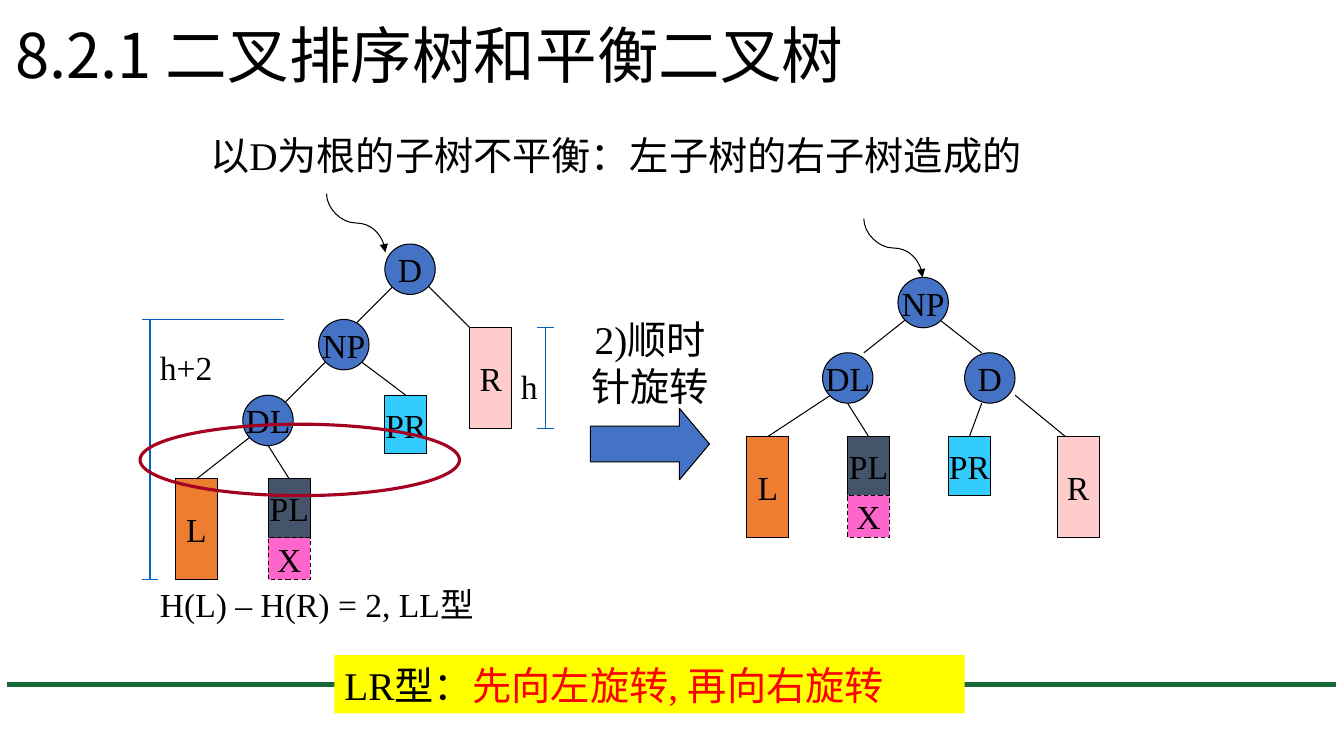
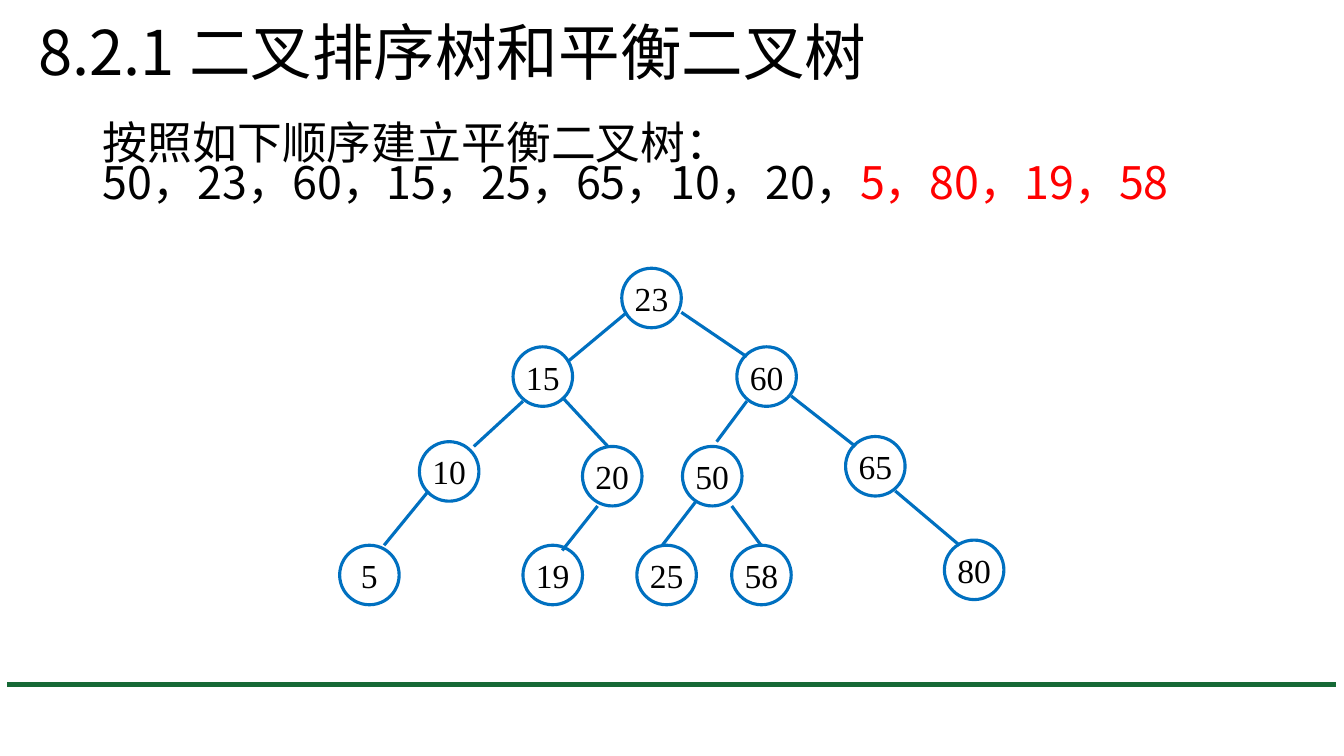
from dataclasses import dataclass

from lxml import etree
from pptx import Presentation
from pptx.dml.color import RGBColor
from pptx.enum.dml import MSO_LINE
from pptx.enum.shapes import MSO_CONNECTOR, MSO_SHAPE
from pptx.enum.text import MSO_ANCHOR, MSO_AUTO_SIZE, PP_ALIGN
from pptx.oxml.ns import qn
from pptx.util import Cm, Pt

STRAIGHT, CURVE = MSO_CONNECTOR.STRAIGHT, MSO_CONNECTOR.CURVE
ELLIPSE, RECTANGLE, ARROW = MSO_SHAPE.OVAL, MSO_SHAPE.RECTANGLE, MSO_SHAPE.RIGHT_ARROW
LEFT, CENTER = PP_ALIGN.LEFT, PP_ALIGN.CENTER
TOP, MIDDLE = MSO_ANCHOR.TOP, MSO_ANCHOR.MIDDLE
DASH = MSO_LINE.DASH
FIT_NONE = MSO_AUTO_SIZE.NONE
TOP_SITE = 0


@dataclass(frozen=True)
class Theme:
    sans: str = "Noto Sans CJK SC"
    serif: str = "Times New Roman"
    title_size: int = 44
    body_size: int = 32
    note_size: int = 28
    label_size: int = 24
    thin: float = 0.75
    medium: float = 2.25
    thick: float = 3.75
    ink: str = "000000"
    accent: str = "FF0000"
    footer: str = "166936"
    node: str = "4472C4"
    ring: str = "0070C0"
    bracket: str = "0563C1"
    highlight: str = "FFFF00"
    focus: str = "A50021"


THEME = Theme()
TITLE = "8.2.1 二叉排序树和平衡二叉树"
BLOCK_WIDTH = 1.06
NODE_SIZE = 1.27
RING_SIZE = 1.5
PART_HEIGHT = 1.48
BLOCKS = {
    "L": ("ED7D31", 2.54),
    "R": ("FFCCCC", 2.54),
    "PL": ("44546A", PART_HEIGHT),
    "PR": ("33CCFF", PART_HEIGHT),
    "X": ("FF66CC", BLOCK_WIDTH),
}


class Deck:
    def __init__(self, theme):
        self.theme = theme
        self.presentation = Presentation()
        self.presentation.slide_width = Cm(33.87)
        self.presentation.slide_height = Cm(19.05)
        self.slide = None

    def new_slide(self, layout, left, top):
        theme = self.theme
        self.slide = self.presentation.slides.add_slide(
            self.presentation.slide_layouts[layout])
        self.line((0.18, 17.25), (33.68, 17.25), theme.footer, theme.thick)
        title = self.slide.shapes.title
        self.place(title, left, top, 29.21, 3.68)
        self.set_text(title, [[(TITLE, theme.ink)]], theme.title_size, theme.sans,
                      anchor=MIDDLE, spacing=0.9)

    def place(self, shape, left, top, width, height):
        shape.left, shape.top = Cm(left), Cm(top)
        shape.width, shape.height = Cm(width), Cm(height)

    def set_text(self, shape, paragraphs, size, font, align=LEFT, anchor=TOP,
                 wrap=True, spacing=1.0):
        frame = shape.text_frame
        frame.auto_size = FIT_NONE
        frame.word_wrap = wrap
        frame.vertical_anchor = anchor
        for index, runs in enumerate(paragraphs):
            paragraph = frame.add_paragraph() if index else frame.paragraphs[0]
            paragraph.alignment = align
            paragraph.line_spacing = spacing
            paragraph.space_before = Pt(0)
            for text, colour in runs:
                run = paragraph.add_run()
                run.text = text
                run.font.size = Pt(size)
                run.font.name = font
                run.font.color.rgb = RGBColor.from_string(colour)
                properties = run._r.get_or_add_rPr()
                east_asian = etree.SubElement(properties, qn("a:ea"))
                east_asian.set("typeface", self.theme.sans)

    def body(self, paragraphs, left, top, width, height):
        shape = self.slide.placeholders[1]
        self.place(shape, left, top, width, height)
        self.set_text(shape, paragraphs, self.theme.body_size, self.theme.sans,
                      spacing=0.75)
        for paragraph in shape.text_frame.paragraphs:
            properties = paragraph._p.get_or_add_pPr()
            properties.set("marL", "0")
            properties.set("indent", "0")
            etree.SubElement(properties, qn("a:buNone"))

    def text(self, text, left, top, width, height, size, align=LEFT):
        box = self.slide.shapes.add_textbox(Cm(left), Cm(top), Cm(width), Cm(height))
        self.set_text(box, [[(text, self.theme.ink)]], size, self.theme.serif, align)

    def shape(self, kind, left, top, width, height, fill=None, line=None, weight=0.75):
        shape = self.slide.shapes.add_shape(
            kind, Cm(left), Cm(top), Cm(width), Cm(height))
        shape.shadow.inherit = False
        if fill:
            shape.fill.solid()
            shape.fill.fore_color.rgb = RGBColor.from_string(fill)
        else:
            shape.fill.background()
        if line:
            shape.line.color.rgb = RGBColor.from_string(line)
            shape.line.width = Pt(weight)
        else:
            shape.line.fill.background()
        return shape

    def label(self, shape, text):
        self.set_text(shape, [[(text, self.theme.ink)]], self.theme.label_size,
                      self.theme.serif, CENTER, MIDDLE, wrap=False)

    def node(self, text, left, top):
        self.label(self.shape(ELLIPSE, left, top, NODE_SIZE, NODE_SIZE,
                              self.theme.node, self.theme.ink), text)

    def ring(self, text, left, top):
        self.label(self.shape(ELLIPSE, left, top, RING_SIZE, RING_SIZE,
                              line=self.theme.ring, weight=self.theme.medium), text)

    def block(self, text, left, top):
        fill, height = BLOCKS[text]
        block = self.shape(RECTANGLE, left, top, BLOCK_WIDTH, height,
                           fill, self.theme.ink)
        self.label(block, text)
        return block

    def line(self, begin, end, colour, weight, kind=STRAIGHT):
        connector = self.slide.shapes.add_connector(
            kind, *(Cm(value) for value in (*begin, *end)))
        connector.line.color.rgb = RGBColor.from_string(colour)
        connector.line.width = Pt(weight)
        etree.SubElement(connector.element.spPr, qn("a:effectLst"))
        return connector

    def pointer(self, left, top):
        size = 1.48
        curve = self.line((left + size, top), (left, top + size),
                          self.theme.ink, self.theme.thin, CURVE)
        curve.rotation = 270
        outline = curve.element.spPr.find(qn("a:ln"))
        etree.SubElement(outline, qn("a:tailEnd")).set("type", "triangle")

    def bracket(self, x, top, bottom, top_reach):
        ends = [((x, top), (x, bottom)),
                ((x - 0.21, top), (x + top_reach, top)),
                ((x - 0.21, bottom), (x + 0.21, bottom))]
        for begin, end in ends:
            self.line(begin, end, self.theme.bracket, self.theme.thin)

    def subtree(self, nodes, blocks, edges, joins):
        theme = self.theme
        drawn = {text: self.block(text, *corner) for text, corner in blocks.items()}
        left, top = blocks["PL"]
        self.block("X", left, top + PART_HEIGHT).line.dash_style = DASH
        for begin, end in edges:
            self.line(begin, end, theme.ink, theme.thin)
        for text, begin in joins.items():
            connector = self.line(begin, blocks[text], theme.ink, theme.thin)
            connector.end_connect(drawn[text], TOP_SITE)
        for text, corner in nodes.items():
            self.node(text, *corner)


def rotation_slide(deck):
    theme = deck.theme
    deck.new_slide(5, 0.13, -0.36)
    deck.subtree(
        nodes={"NP": (22.63, 6.99), "DL": (20.73, 8.89), "D": (24.31, 8.89)},
        blocks={"L": (18.82, 11), "PL": (21.36, 11), "PR": (23.9, 11), "R": (26.64, 11)},
        edges=[((22.83, 8.05), (21.77, 8.89)),
               ((23.67, 8.05), (24.74, 8.89)),
               ((25.58, 9.96), (26.85, 11))],
        joins={"L": (20.93, 9.96), "PL": (21.36, 10.16), "PR": (24.74, 10.16)})
    deck.pointer(21.77, 5.51)
    arrow = deck.shape(ARROW, 14.88, 10.29, 3, 1.8, theme.node, theme.ink)
    arrow.adjustments[1] = 0.42
    deck.text("2)顺时针旋转", 14.58, 7.82, 3.61, 2.62, theme.note_size, CENTER)
    deck.subtree(
        nodes={"D": (9.7, 6.15), "NP": (8.03, 8.05), "DL": (6.12, 9.96)},
        blocks={"L": (4.42, 12.07), "PL": (6.76, 12.07),
                "PR": (9.7, 9.96), "R": (11.84, 8.26)},
        edges=[((10.13, 6.99), (8.86, 8.26)),
               ((10.77, 7.19), (11.84, 8.26)),
               ((8.23, 9.09), (7.16, 10.16))],
        joins={"L": (6.32, 11), "PL": (6.76, 11.23), "PR": (9.07, 9.09)})
    deck.pointer(8.23, 4.88)
    deck.text("以D为根的子树不平衡：左子树的右子树造成的",
              5.05, 3.18, 21.59, 1.45, theme.note_size)
    banner = deck.shape(RECTANGLE, 8.43, 16.51, 15.88, 1.47, theme.highlight)
    deck.set_text(banner,
                  [[("LR型：", theme.ink), ("先向左旋转, 再向右旋转", theme.accent)]],
                  theme.note_size, theme.serif, anchor=MIDDLE)
    deck.text("H(L) – H(R) = 2, LL型", 3.78, 14.6, 11.63, 1.27, theme.label_size)
    deck.bracket(13.74, 8.26, 10.8, 0.21)
    deck.text("h", 12.88, 9.09, 1.06, 1.27, theme.label_size)
    deck.bracket(3.78, 8.05, 14.6, 3.38)
    deck.text("h+2", 3.78, 8.61, 1.9, 1.27, theme.label_size)
    deck.shape(ELLIPSE, 3.53, 10.69, 8.05, 1.8, line=theme.focus, weight=theme.medium)


def exercise_slide(deck):
    theme = deck.theme
    deck.new_slide(1, 0.71, -0.43)
    deck.body([[("按照如下顺序建立平衡二叉树：", theme.ink)],
               [("50，23，60，15，25，65，10，20，", theme.ink),
                ("5，80，19，58", theme.accent)]], 2.34, 3.07, 29.21, 4.22)
    rings = {23: (15.67, 6.76), 15: (12.93, 8.74), 60: (18.57, 8.74),
             10: (10.57, 11.13), 20: (14.68, 11.25), 50: (17.2, 11.25),
             65: (21.31, 11), 5: (8.56, 13.74), 19: (13.18, 13.74),
             25: (16.05, 13.74), 58: (18.44, 13.74), 80: (23.8, 13.61)}
    edges = [((15.8, 7.87), (14.3, 9.12)), ((17.17, 7.87), (18.82, 8.99)),
             ((13.18, 10.11), (11.94, 11.25)), ((14.17, 10.01), (15.32, 11.25)),
             ((18.82, 10.11), (18.06, 11.13)), ((19.94, 9.98), (21.56, 11.25)),
             ((10.8, 12.37), (9.68, 13.74)), ((15.06, 12.75), (14.17, 13.87)),
             ((17.55, 12.62), (16.69, 13.74)), ((18.44, 12.75), (19.18, 13.74)),
             ((22.56, 12.37), (24.18, 13.74))]
    for key, corner in rings.items():
        deck.ring(str(key), *corner)
    for begin, end in edges:
        deck.line(begin, end, theme.ring, theme.medium)


def main():
    deck = Deck(THEME)
    rotation_slide(deck)
    exercise_slide(deck)
    deck.presentation.save("out.pptx")


if __name__ == "__main__":
    main()
